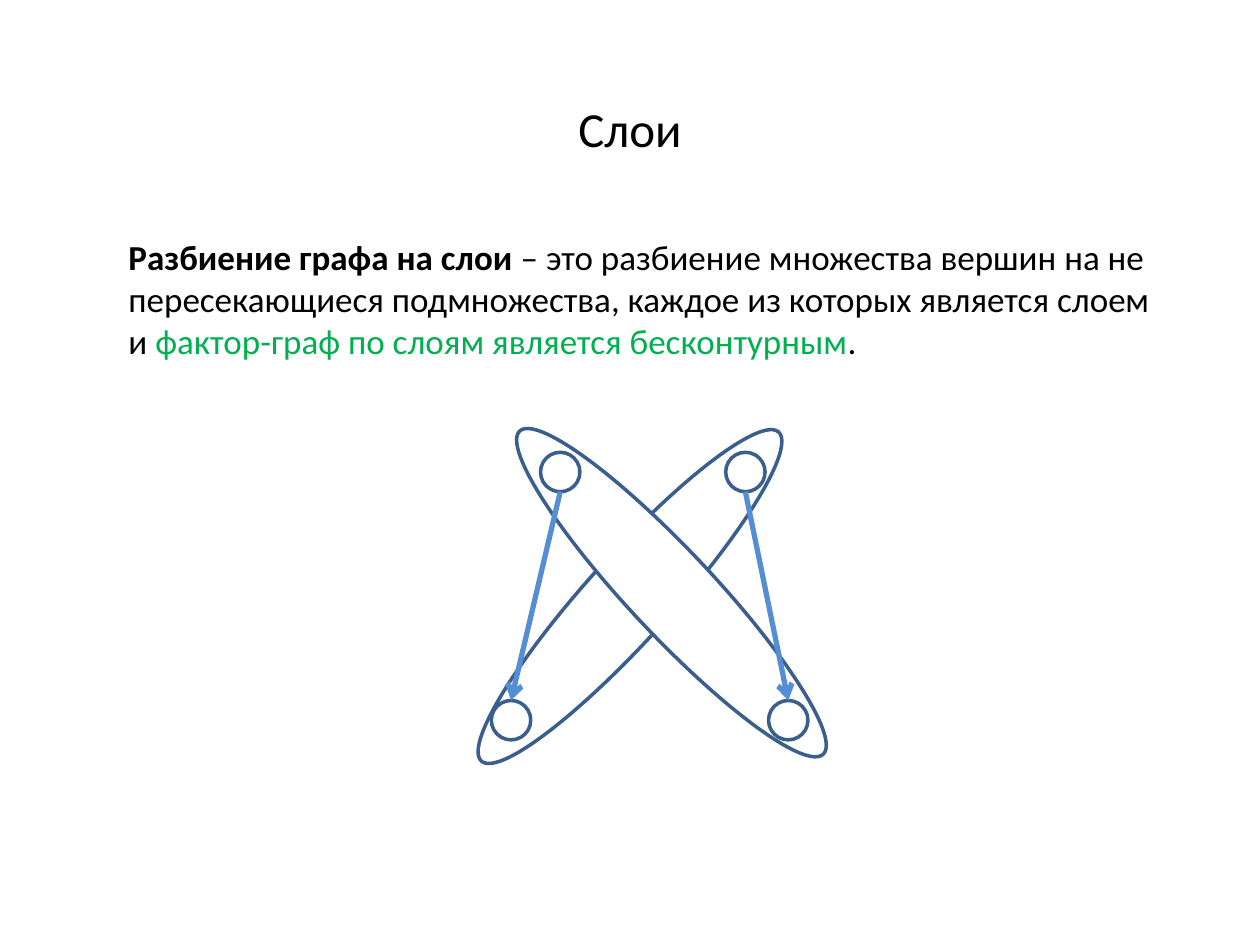
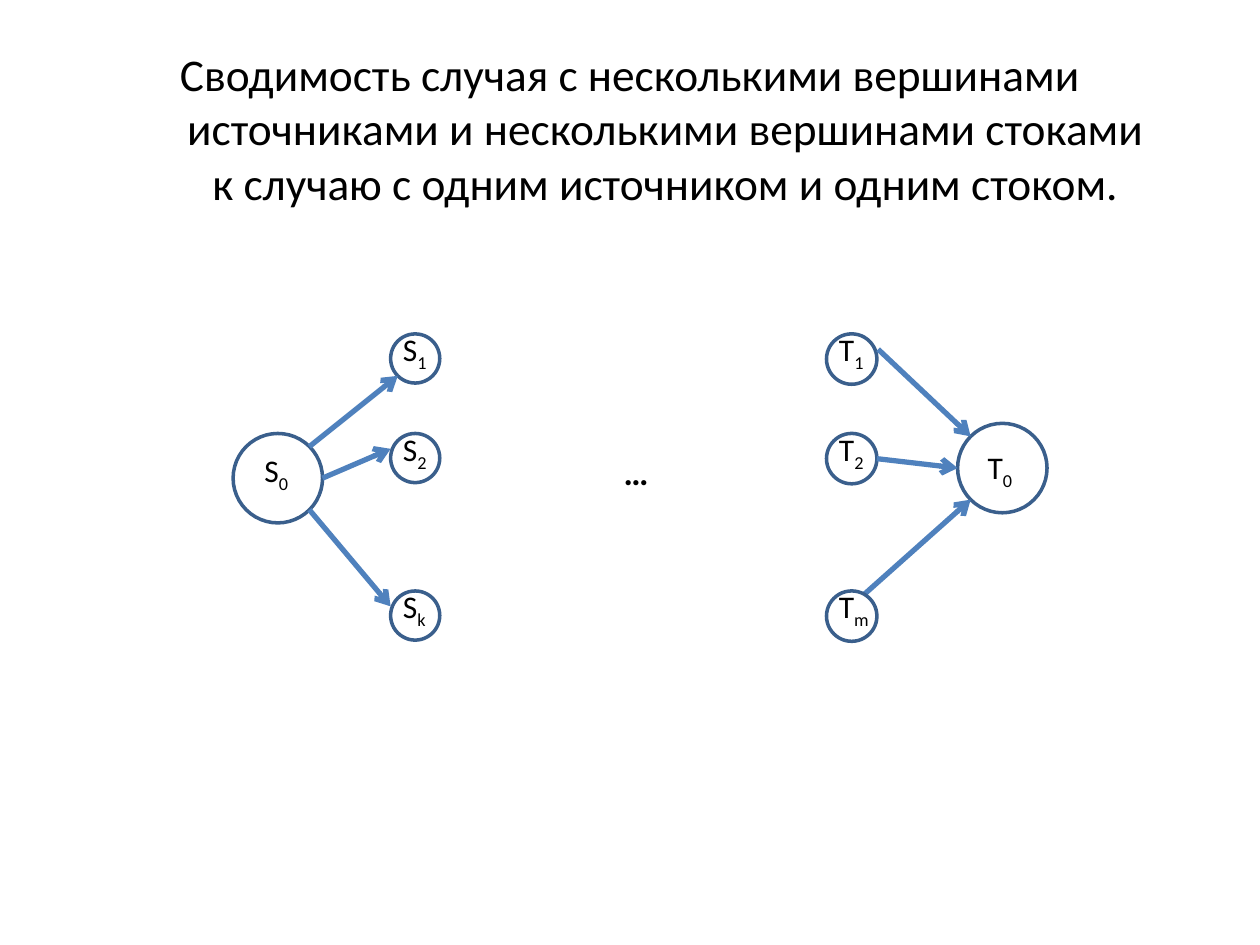
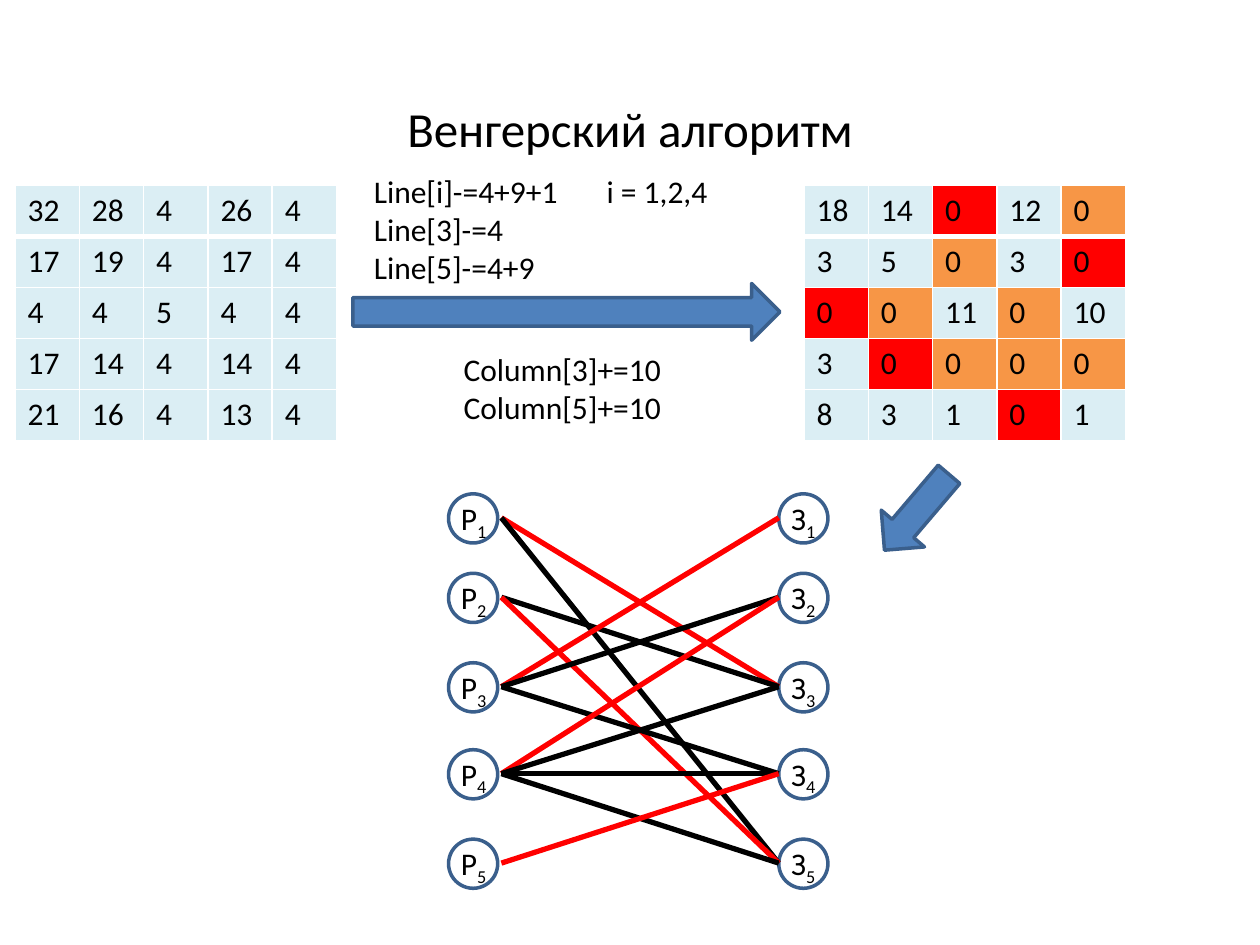
import math

import pptx
import pptx.dml.color
import pptx.enum.shapes
import pptx.enum.text
import pptx.oxml.ns
import pptx.util
from lxml import etree

Pt = pptx.util.Pt
SHAPE = pptx.enum.shapes.MSO_SHAPE
ALIGN = pptx.enum.text.PP_ALIGN
ANCHOR = pptx.enum.text.MSO_ANCHOR
AUTO_SIZE = pptx.enum.text.MSO_AUTO_SIZE
qn = pptx.oxml.ns.qn

FONT = "Calibri"
COLORS = {
    "text": "000000",
    "paper": "FFFFFF",
    "accent": "4F81BD",
    "outline": "3A5F8C",
    "layer_edge": "558ED5",
    "highlight": "00B050",
    "cell": "DBEEF4",
    "zero": "F79646",
    "chosen": "FF0000",
}
TITLE_BOX = (54, 15.1, 612, 115.9)
NODE = 28.1  # diameter of a small graph node

COSTS = [
    [32, 28, 4, 26, 4],
    [17, 19, 4, 17, 4],
    [4, 4, 5, 4, 4],
    [17, 14, 4, 14, 4],
    [21, 16, 4, 13, 4],
]
REDUCED = [
    [18, 14, 0, 12, 0],
    [3, 5, 0, 3, 0],
    [0, 0, 11, 0, 10],
    [3, 0, 0, 0, 0],
    [8, 3, 1, 0, 1],
]
ASSIGNMENT = [2, 4, 0, 1, 3]  # chosen column of each row


def rgb(name):
    return pptx.dml.color.RGBColor.from_string(COLORS[name])


def place(shape, box):
    shape.left, shape.top, shape.width, shape.height = map(Pt, box)


# Text: each paragraph is a list of (text, overrides) runs
def write(frame, paragraphs, size=18, bold=False, color="text", align=ALIGN.LEFT,
          anchor=ANCHOR.TOP, wrap=True, grow=False, hanging=0, tab=None):
    frame.word_wrap = wrap
    frame.auto_size = AUTO_SIZE.SHAPE_TO_FIT_TEXT if grow else AUTO_SIZE.NONE
    frame.vertical_anchor = anchor
    for index, runs in enumerate(paragraphs):
        paragraph = frame.add_paragraph() if index else frame.paragraphs[0]
        properties = paragraph._p.get_or_add_pPr()
        if tab:  # an explicit indent would reset the tab stops
            stops = etree.SubElement(properties, qn("a:tabLst"))
            etree.SubElement(stops, qn("a:tab"), pos=str(Pt(tab)), algn="l")
        else:
            properties.set("marL", str(Pt(hanging)))
            properties.set("indent", str(-Pt(hanging)))
            etree.SubElement(properties, qn("a:buNone"))
        paragraph.alignment = align
        paragraph.space_before = Pt(0)
        for text, overrides in runs:
            run = paragraph.add_run()
            run.text = text
            run.font.name = FONT
            run.font.size = Pt(size)
            run.font.bold = overrides.get("bold", bold)
            run.font.color.rgb = rgb(overrides.get("color", color))
            if "baseline" in overrides:
                run._r.get_or_add_rPr().set("baseline", str(overrides["baseline"]))


def plain(*lines):
    return [[(line, {})] for line in lines]


def add_text(slide, box, paragraphs, **text_format):
    textbox = slide.shapes.add_textbox(*map(Pt, box))
    write(textbox.text_frame, paragraphs, **text_format)
    return textbox


def add_titled_slide(deck, layout, title, size=28):
    slide = deck.slides.add_slide(deck.slide_layouts[layout])
    place(slide.shapes.title, TITLE_BOX)
    write(slide.shapes.title.text_frame, plain(title), size=size,
          align=ALIGN.CENTER, anchor=ANCHOR.MIDDLE, hanging=40.5)
    return slide


# Shapes and lines
def add_figure(slide, preset, box, fill="paper", rotation=0):
    figure = slide.shapes.add_shape(preset, *map(Pt, box))
    figure.shadow.inherit = False
    figure.fill.solid()
    figure.fill.fore_color.rgb = rgb(fill)
    figure.line.color.rgb = rgb("outline")
    figure.line.width = Pt(2)
    figure.rotation = rotation
    return figure


def add_circle(slide, left, top, size):
    return add_figure(slide, SHAPE.OVAL, (left, top, size, size))


def add_node(slide, left, top, letter, index, size=NODE, shift=(0, 0), width=28.8):
    """Draw a circle with a subscripted label; return both."""
    circle = add_circle(slide, left, top, size)
    label = add_text(slide, (left + shift[0], top + shift[1], width, 28.8),
                     [[(letter, {}), (index, {"baseline": -25000})]],
                     wrap=False, grow=True)
    return circle, label


def rim(circle, degrees):
    """Point on a circle, with angles running clockwise from the right."""
    radius = circle.width / 2
    angle = math.radians(degrees)
    return (int(circle.left + radius * (1 + math.cos(angle))),
            int(circle.top + radius * (1 + math.sin(angle))))


def add_edge(slide, start, end, color="accent", arrow=True):
    """Each end is a point (x, y) or a joined site (shape, side)."""
    points = [(0, 0) if hasattr(site[0], "shape_id") else site for site in (start, end)]
    edge = slide.shapes.add_connector(pptx.enum.shapes.MSO_CONNECTOR.STRAIGHT,
                                      *points[0], *points[1])
    if hasattr(start[0], "shape_id"):
        edge.begin_connect(*start)
    if hasattr(end[0], "shape_id"):
        edge.end_connect(*end)
    edge.line.color.rgb = rgb(color)
    edge.line.width = Pt(3)
    if arrow:
        etree.SubElement(edge.line._get_or_add_ln(), qn("a:tailEnd"), type="arrow")
    etree.SubElement(edge._element.spPr, qn("a:effectLst"))


# Tables
def add_border(cell, side, width):
    line = etree.SubElement(cell._tc.get_or_add_tcPr(), qn("a:ln" + side), w=str(Pt(width)))
    fill = etree.SubElement(line, qn("a:solidFill"))
    etree.SubElement(fill, qn("a:srgbClr"), val=COLORS["paper"])


def add_matrix(slide, left, values, fill_of):
    count = len(values)
    column, row_height = 36.75, 29.2
    matrix = slide.shapes.add_table(count, count, Pt(left), Pt(105.8),
                                    Pt(column * count), Pt(row_height * count)).table
    matrix.first_row = matrix.horz_banding = False
    for i, row in enumerate(values):
        matrix.rows[i].height = Pt(row_height)
        matrix.columns[i].width = Pt(column)
        for j, value in enumerate(row):
            cell = matrix.cell(i, j)
            write(cell.text_frame, plain(str(value)))
            for side in "LRTB":
                under_header = (i, side) in ((0, "B"), (1, "T"))
                add_border(cell, side, 3 if under_header else 1)
            cell.fill.solid()
            cell.fill.fore_color.rgb = rgb(fill_of(i, j))


def reduced_fill(i, j):
    if ASSIGNMENT[i] == j:
        return "chosen"
    return "cell" if REDUCED[i][j] else "zero"


# Slides
def build_layers(deck):
    slide = add_titled_slide(deck, 1, "Слои")
    definition = slide.placeholders[1]
    place(definition, (66.2, 128.2, 612, 85))
    write(definition.text_frame, [[
        ("Разбиение графа на слои", {"bold": True}),
        (" – это разбиение множества вершин на не пересекающиеся подмножества, "
         "каждое из которых является слоем и ", {}),
        ("фактор-граф по слоям является бесконтурным", {"color": "highlight"}),
        (".", {}),
    ]], size=20, anchor=ANCHOR.MIDDLE)

    for left, top, rotation in ((233.3, 316.8, 312.1), (257, 314.6, 46.8)):
        add_figure(slide, SHAPE.OVAL, (left, top, 253.4, 48.2), rotation=rotation)
    for upper_left, lower_left in ((414.7, 439.2), (308.9, 280.8)):
        upper = add_circle(slide, upper_left, 258.5, 22.5)
        lower = add_circle(slide, lower_left, 400.3, 22.5)
        add_edge(slide, rim(upper, 90), (lower, 0), "layer_edge")


def build_sources_and_sinks(deck):
    slide = add_titled_slide(
        deck, 5, "Сводимость случая с несколькими вершинами источниками и несколькими "
        "вершинами стоками к случаю с одним источником и одним стоком.", size=25.9)
    tops = (190.8, 247.7, 337.7)
    source, _ = add_node(slide, 133.2, 247.7, "S", "0", 51.1, (10.8, 6.5))
    sink, _ = add_node(slide, 547.2, 241.9, "T", "0", 51.1, (10.1, 10.8), 29.5)
    add_edge(slide, (Pt(489.6), Pt(343.4)), rim(sink, 135))

    sources = [add_node(slide, 223.2, top, "S", index, shift=(0, -5.6))
               for index, top in zip("12k", tops)]
    sinks = [add_node(slide, 472.3, top, "T", index, 28.8, (0, -5.6), width)
             for index, top, width in zip("12m", tops, (29.5, 29.5, 33))]
    add_edge(slide, rim(source, -45), rim(sources[0][0], 135))
    add_edge(slide, rim(source, 0), (sources[1][1], 1))
    add_edge(slide, rim(source, 45), (sources[2][1], 1))
    add_edge(slide, (sinks[0][1], 3), rim(sink, 225))
    add_edge(slide, rim(sinks[1][0], 0), rim(sink, 180))
    add_text(slide, (349.2, 252.7, 28.1, 33.8), plain("…"), size=20, bold=True,
             anchor=ANCHOR.MIDDLE)


def build_hungarian(deck):
    slide = add_titled_slide(deck, 5, "Венгерский алгоритм")
    add_matrix(slide, 8.6, COSTS, lambda i, j: "cell")
    add_matrix(slide, 459.4, REDUCED, reduced_fill)
    add_figure(slide, SHAPE.RIGHT_ARROW, (201.6, 162, 244.1, 32.4), "accent")
    add_figure(slide, SHAPE.RIGHT_ARROW, (495.4, 276.5, 56.9, 32.4), "accent", 130.4)
    add_text(slide, (206.6, 95, 232.6, 72.7),
             plain("Line[i]-=4+9+1\ti = 1,2,4", "Line[3]-=4", "Line[5]-=4+9"),
             grow=True, tab=133)
    add_text(slide, (257.8, 196.6, 130.3, 51.1),
             plain("Column[3]+=10", "Column[5]+=10"), grow=True)

    # Bipartite graph of the zeros, with the assignment in red
    workers, tasks = [], []
    for number, top in enumerate((282.2, 327.6, 378.7, 428.4, 479.5), 1):
        for labels, left, letter, width in ((workers, 256.3, "Р", 30.2),
                                            (tasks, 445, "З", 29.5)):
            labels.append(add_node(slide, left, top, letter, str(number),
                                   shift=(0, -0.7), width=width)[1])
    for i, row in enumerate(REDUCED):
        for j, value in enumerate(row):
            if value == 0:
                color = "chosen" if ASSIGNMENT[i] == j else "text"
                add_edge(slide, (tasks[j], 1), (workers[i], 3), color, arrow=False)


def main():
    deck = pptx.Presentation()
    deck.slide_width, deck.slide_height = Pt(720), Pt(540)
    build_layers(deck)
    build_sources_and_sinks(deck)
    build_hungarian(deck)
    deck.save("out.pptx")


if __name__ == "__main__":
    main()
